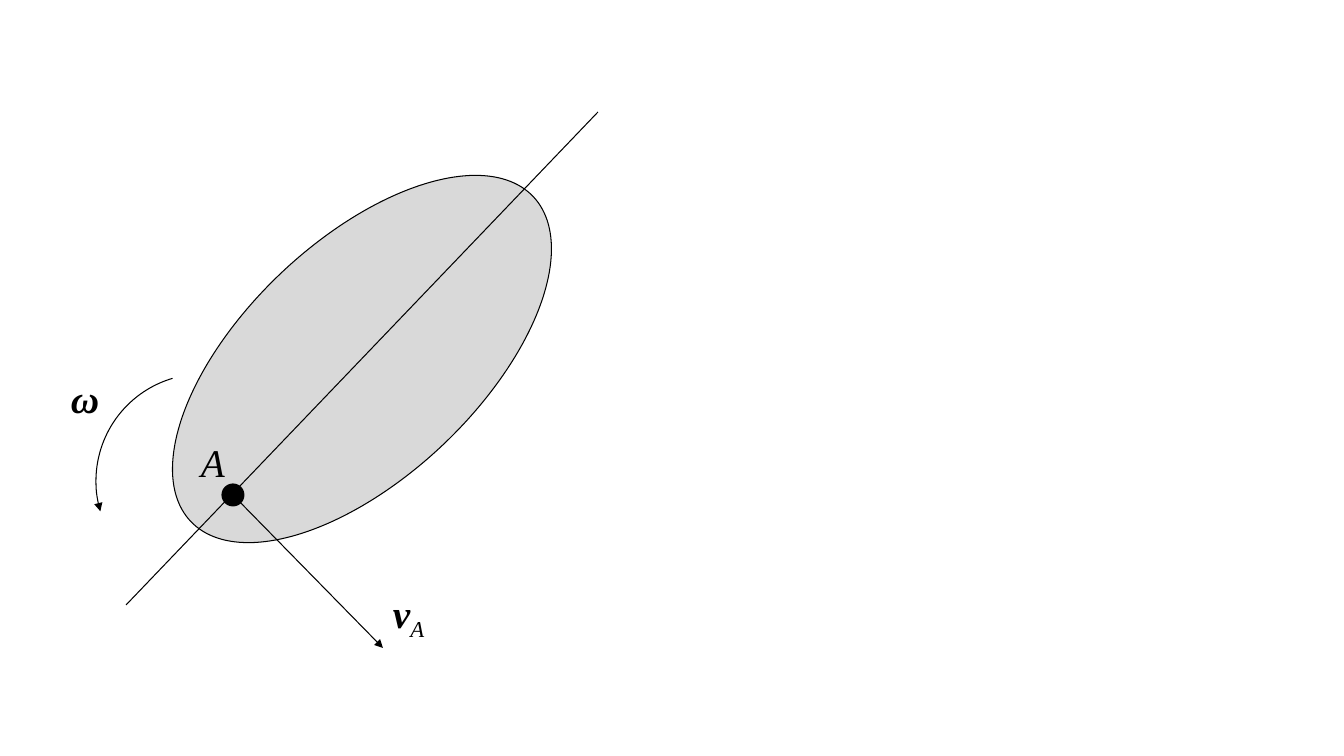
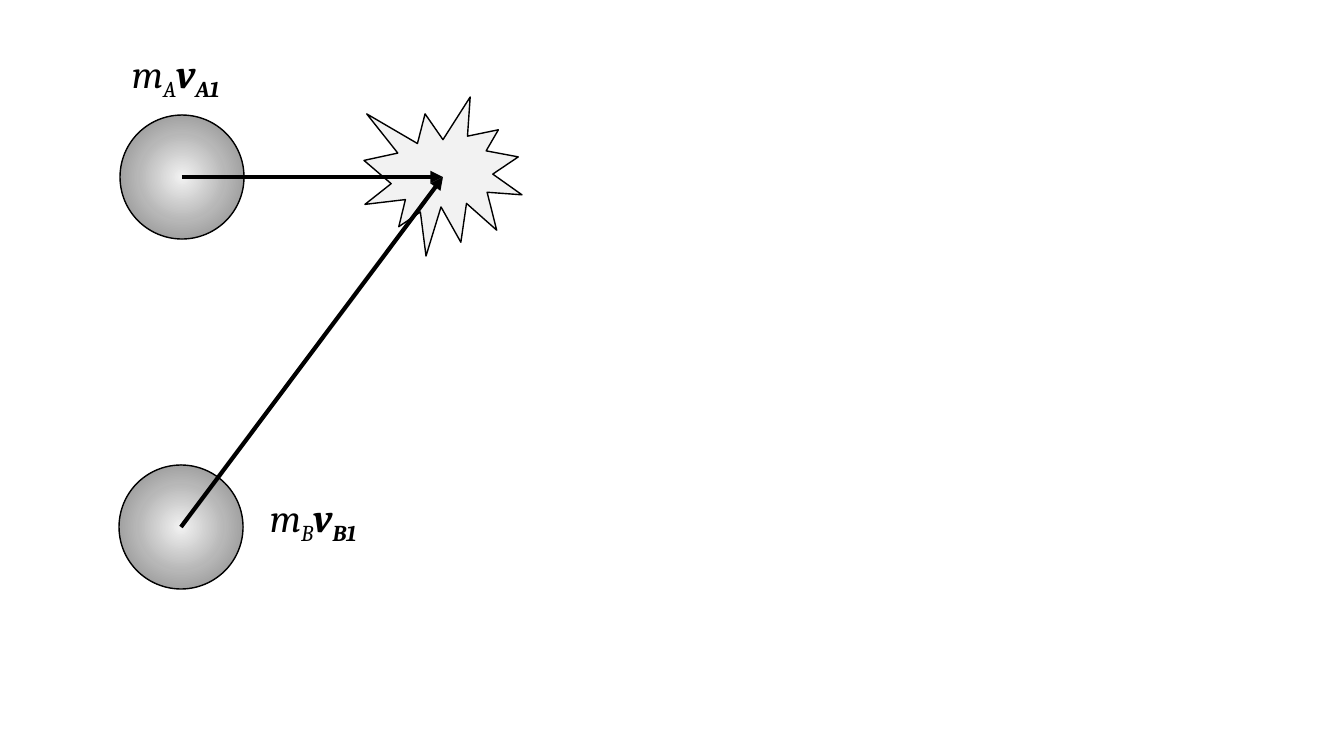
"""Two mechanics diagrams: a rotating body and two colliding spheres."""
import pptx
import pptx.dml.color
import pptx.enum.shapes
import pptx.oxml
import pptx.oxml.ns
import pptx.util

SHAPE = pptx.enum.shapes.MSO_SHAPE
EMU_PER_PX = 914400 / 100.8
SLIDE_SIZE = (1344, 756)

THEME = {
    "ink": "000000",
    "body": "D9D9D9",
    "flash": "F2F2F2",
    "sphere": [(0, "F2F2F2"), (50, "B7B7B7"), (100, "808080")],
    "text_size": 28,
    "thin": 0.75,
    "outline": 1,
    "heavy": 3,
}

SYMBOL = {"italic": True, "bold": False}
VECTOR = {"italic": True, "bold": True}
SUBSCRIPT = -25000

BODY = {"box": (126, 241, 472, 236), "rotation": 316.5}
POINT_A = (233, 495)
POINT_RADIUS = 11
AXIS = ((126, 605), (598, 112))
VELOCITY_TIP = (383, 648)
SPIN = {"center": (203, 481), "radius": 107, "degrees": (163.5, 253.5)}
BODY_LABEL_SIZE = (86, 107)
POINT_LABEL = ((191, 433), [("A", SYMBOL, 0)])
MOTION_LABELS = [
    ((61, 369), [("ω", VECTOR, 0)]),
    ((383, 584), [("v", VECTOR, 0), ("A", SYMBOL, SUBSCRIPT)]),
]

SPHERE_RADIUS = 62
SPHERE_A, SPHERE_B = (182, 177), (181, 527)
FLASH = (364, 97, 158, 159)
IMPACT = (443, 177)
MOMENTUM_LABEL_SIZE = (261, 57)
MOMENTUM_LABELS = [("B", (260, 488)), ("A", (122, 44))]


def px(length):
    return pptx.util.Emu(round(length * EMU_PER_PX))


def rgb(name):
    return pptx.dml.color.RGBColor.from_string(name)


def around(center, radius):
    x, y = center
    return x - radius, y - radius, 2 * radius, 2 * radius


def draw_line(line, width, arrow_end=None):
    line.color.rgb = rgb(THEME["ink"])
    line.width = pptx.util.Pt(width)
    if arrow_end:
        arrow = pptx.oxml.parse_xml(
            f'<a:{arrow_end} {pptx.oxml.ns.nsdecls("a")} type="triangle"/>')
        line._get_or_add_ln().append(arrow)


def add_figure(slide, kind, box, fill, width, arrow_end=None):
    figure = slide.shapes.add_shape(kind, *map(px, box))
    figure.shadow.inherit = False
    if fill:
        figure.fill.solid()
        figure.fill.fore_color.rgb = rgb(fill)
    else:
        figure.fill.background()
    draw_line(figure.line, width, arrow_end)
    return figure


def add_sphere(slide, center):
    sphere = add_figure(slide, SHAPE.OVAL, around(center, SPHERE_RADIUS),
                        THEME["flash"], THEME["outline"])
    stops = "".join(
        f'<a:gs pos="{percent * 1000}"><a:srgbClr val="{color}"/></a:gs>'
        for percent, color in THEME["sphere"])
    gradient = pptx.oxml.parse_xml(
        f'<a:gradFill {pptx.oxml.ns.nsdecls("a")} rotWithShape="1">'
        f'<a:gsLst>{stops}</a:gsLst><a:path path="circle">'
        '<a:fillToRect l="50000" t="50000" r="50000" b="50000"/>'
        '</a:path></a:gradFill>')
    properties = sphere._element.spPr
    solid = properties.find(pptx.oxml.ns.qn("a:solidFill"))
    properties.replace(solid, gradient)


def add_line(slide, start, end, width, arrow_end=None):
    line = slide.shapes.add_connector(
        pptx.enum.shapes.MSO_CONNECTOR.STRAIGHT, *map(px, start + end))
    draw_line(line.line, width, arrow_end)
    line._element.spPr.append(pptx.oxml.parse_xml(
        f'<a:effectLst {pptx.oxml.ns.nsdecls("a")}/>'))


def add_label(slide, corner, size, font_name, pieces):
    frame = slide.shapes.add_textbox(*map(px, corner + size)).text_frame
    frame.word_wrap = True
    for text, style, baseline in pieces:
        run = frame.paragraphs[0].add_run()
        run.text = text
        formats = {"name": font_name,
                   "size": pptx.util.Pt(THEME["text_size"]), **style}
        for attribute, value in formats.items():
            setattr(run.font, attribute, value)
        run.font.color.rgb = rgb(THEME["ink"])
        if baseline:
            run._r.get_or_add_rPr().set("baseline", str(baseline))


def build_rotation(slide):
    thin, font_name = THEME["thin"], "Times New Roman"
    body = add_figure(slide, SHAPE.OVAL, BODY["box"], THEME["body"], thin)
    body.rotation = BODY["rotation"]
    corner, pieces = POINT_LABEL
    add_label(slide, corner, BODY_LABEL_SIZE, font_name, pieces)
    add_figure(slide, SHAPE.OVAL, around(POINT_A, POINT_RADIUS),
               THEME["ink"], thin)
    add_line(slide, *AXIS, thin)
    add_line(slide, POINT_A, VELOCITY_TIP, thin, "tailEnd")
    spin = add_figure(slide, SHAPE.ARC, around(SPIN["center"], SPIN["radius"]),
                      None, thin, "headEnd")
    for index, degrees in enumerate(SPIN["degrees"]):
        spin.adjustments[index] = degrees * 0.6
    for corner, pieces in MOTION_LABELS:
        add_label(slide, corner, BODY_LABEL_SIZE, font_name, pieces)


def build_collision(slide):
    add_sphere(slide, SPHERE_B)
    add_figure(slide, SHAPE.EXPLOSION1, FLASH, THEME["flash"], THEME["outline"])
    add_sphere(slide, SPHERE_A)
    for center in (SPHERE_A, SPHERE_B):
        add_line(slide, center, IMPACT, THEME["heavy"], "tailEnd")
    for sphere, corner in MOMENTUM_LABELS:
        pieces = [("m", SYMBOL, 0), (sphere, SYMBOL, SUBSCRIPT),
                  ("v", VECTOR, 0), (f"{sphere}1", VECTOR, SUBSCRIPT)]
        add_label(slide, corner, MOMENTUM_LABEL_SIZE, "Cambria", pieces)


def main():
    deck = pptx.Presentation()
    deck.slide_width, deck.slide_height = map(px, SLIDE_SIZE)
    for build in (build_rotation, build_collision):
        build(deck.slides.add_slide(deck.slide_layouts[6]))
    deck.save("out.pptx")


if __name__ == "__main__":
    main()
